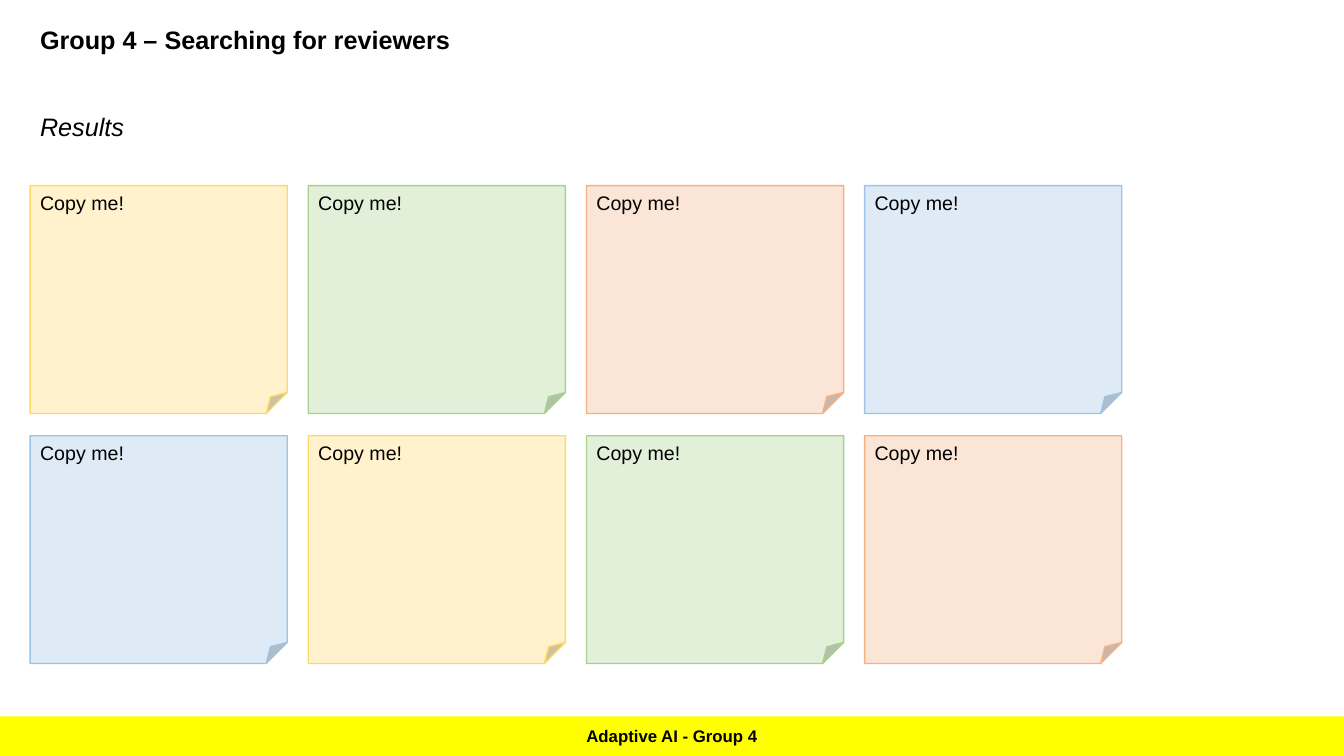
from lxml import etree
from pptx import Presentation
from pptx.dml.color import RGBColor
from pptx.enum.shapes import MSO_SHAPE
from pptx.enum.text import MSO_ANCHOR, PP_ALIGN
from pptx.oxml.ns import qn
from pptx.util import Cm, Pt

RECTANGLE, FOLDED_CORNER = MSO_SHAPE.RECTANGLE, MSO_SHAPE.FOLDED_CORNER
TOP, MIDDLE = MSO_ANCHOR.TOP, MSO_ANCHOR.MIDDLE
LEFT, CENTER = PP_ALIGN.LEFT, PP_ALIGN.CENTER

THEME = {
    "font": "Arial",
    "text": RGBColor.from_string("000000"),
    "footer": RGBColor.from_string("FFFF00"),
    "heading_size": Pt(18),
    "note_size": Pt(14),
    "footer_size": Pt(12),
    "note_line": Pt(1),
    # Fill and outline of each sticky note colour
    "notes": [
        ("FFF2CC", "FFD966"),
        ("E2F0D9", "A9D18E"),
        ("FBE5D6", "F4B183"),
        ("DEEBF7", "9DC3E6"),
    ],
}


def write_text(shape, text, size, anchor=TOP, alignment=LEFT, **styles):
    """Put one formatted paragraph into a shape."""
    frame = shape.text_frame
    frame.word_wrap = True
    frame.vertical_anchor = anchor
    paragraph = frame.paragraphs[0]
    paragraph.alignment = alignment
    run = paragraph.add_run()
    run.text = text
    run.font.color.rgb = THEME["text"]
    for name, value in {"name": THEME["font"], "size": size, **styles}.items():
        setattr(run.font, name, value)


def add_filled_shape(slide, kind, box, fill):
    """Add a preset shape with a plain fill and no shadow."""
    shape = slide.shapes.add_shape(kind, *map(Cm, box))
    shape.shadow.inherit = False
    shape.fill.solid()
    shape.fill.fore_color.rgb = fill
    return shape


presentation = Presentation()
presentation.slide_width = Cm(33.87)
presentation.slide_height = Cm(19.05)
slide = presentation.slides.add_slide(presentation.slide_layouts[6])

# Footer band
footer = add_filled_shape(slide, RECTANGLE, (0, 18.05, 33.87, 1), THEME["footer"])
footer.line.fill.background()
write_text(footer, "Adaptive AI - Group 4", THEME["footer_size"],
           MIDDLE, CENTER, bold=True)

# Headings
margin = 0.76
headings = [
    ("Group 4 – Searching for reviewers", 0.48, 16.94, {"bold": True}),
    ("Results", 2.67, 32.41, {"italic": True}),
]
for text, top, width, styles in headings:
    heading = slide.shapes.add_textbox(Cm(margin), Cm(top), Cm(width), Cm(1.02))
    write_text(heading, text, THEME["heading_size"], **styles)

# Sticky notes: each row shifts the colours one place to the right
note_top, note_width, note_height = 4.68, 6.48, 5.74
column_step, row_step = 7.01, 6.3
colors = THEME["notes"]
for row in range(2):
    for column in range(len(colors)):
        fill, outline = map(RGBColor.from_string, colors[(column - row) % len(colors)])
        box = (margin + column * column_step, note_top + row * row_step,
               note_width, note_height)
        note = add_filled_shape(slide, FOLDED_CORNER, box, fill)
        # python-pptx lists no adjustment for this preset, so the fold is set in XML
        geometry = note.element.spPr.find(qn("a:prstGeom"))
        etree.SubElement(geometry.find(qn("a:avLst")), qn("a:gd"),
                         name="adj", fmla="val 9200")
        note.line.color.rgb = outline
        note.line.width = THEME["note_line"]
        write_text(note, "Copy me!", THEME["note_size"])

presentation.save("out.pptx")
